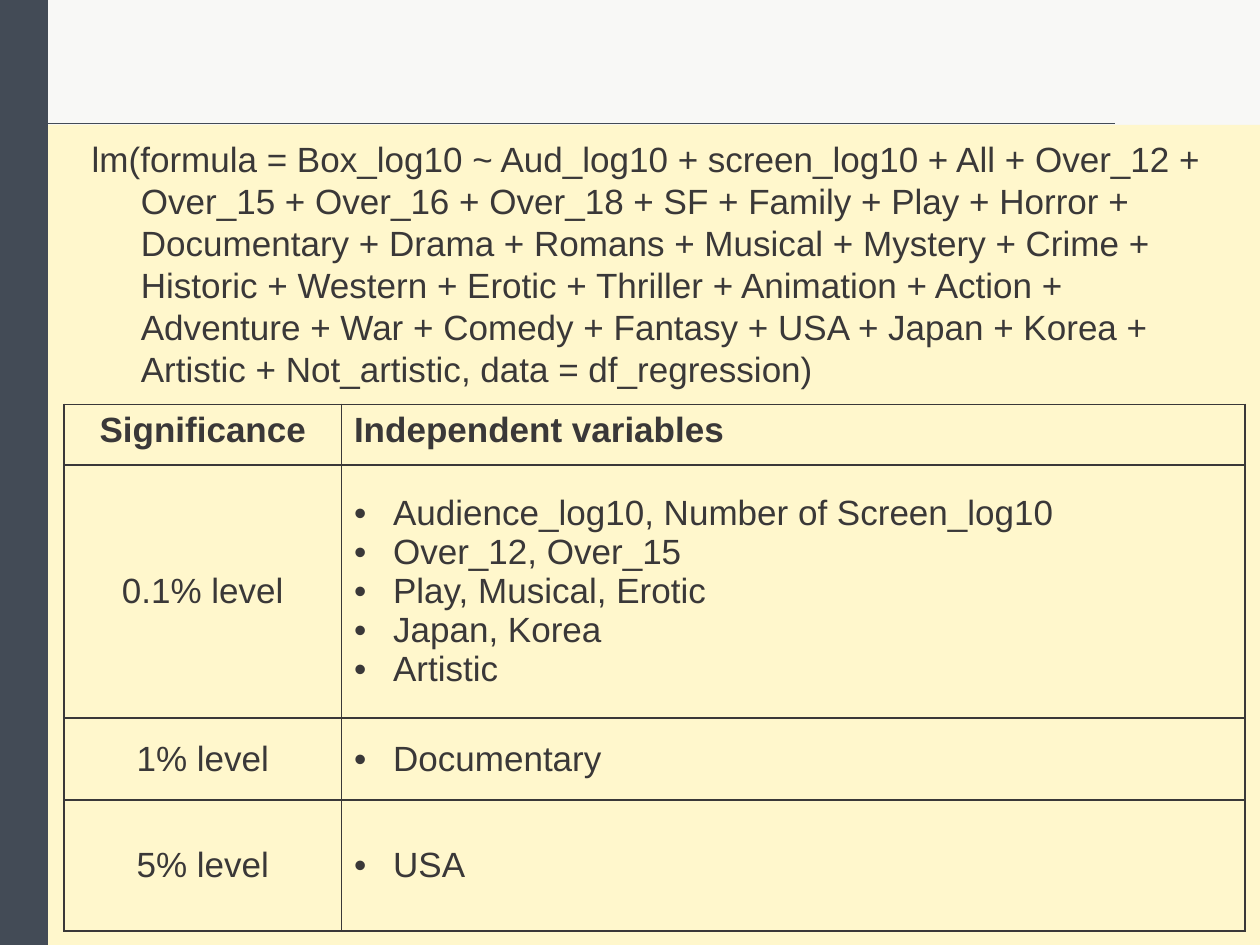
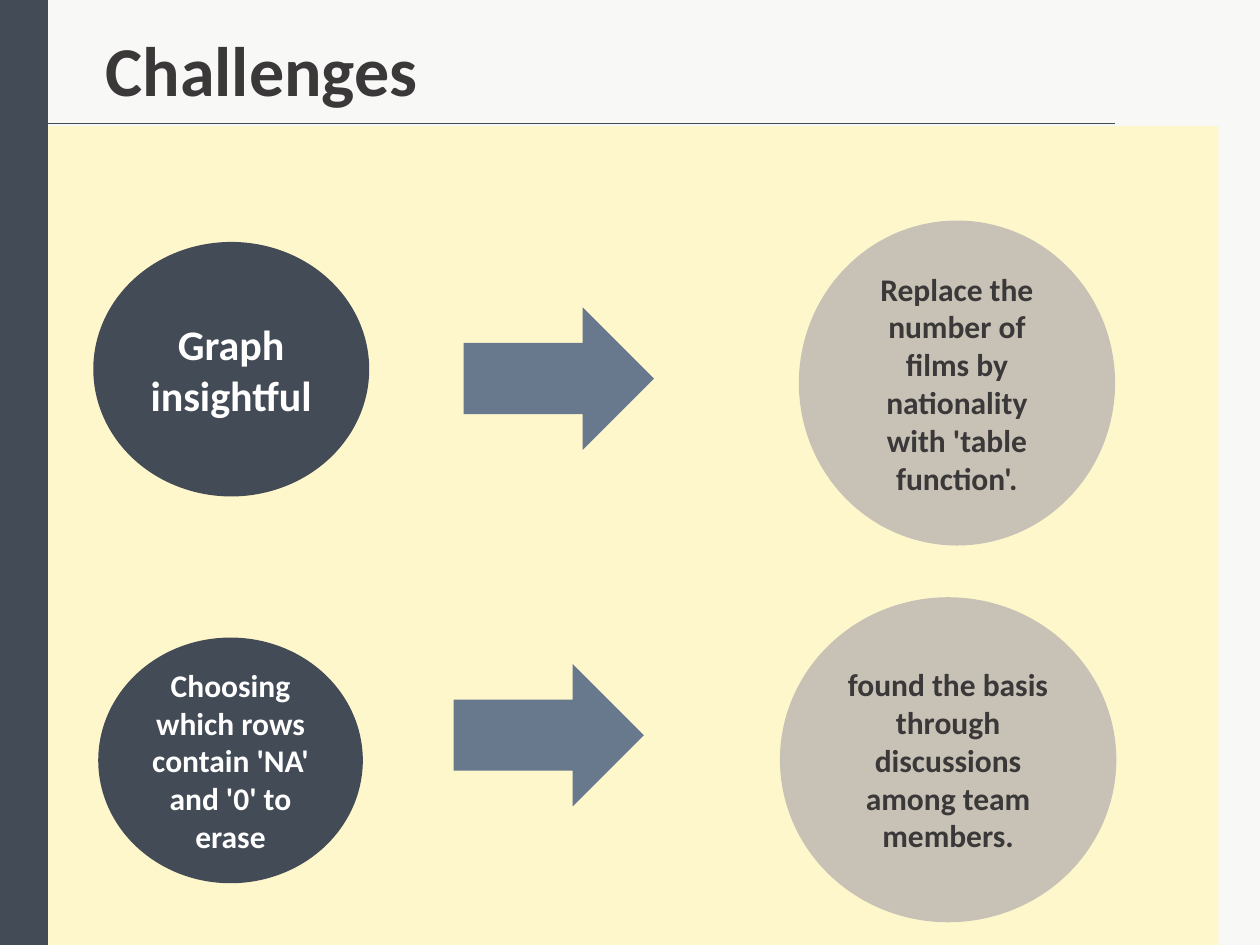
import pptx
import pptx.util
import pptx.oxml
import pptx.oxml.ns
from pptx.dml.color import RGBColor
from pptx.enum.shapes import MSO_CONNECTOR, MSO_SHAPE
from pptx.enum.text import MSO_ANCHOR, PP_ALIGN

Inches, Pt = pptx.util.Inches, pptx.util.Pt

PAPER = RGBColor(0xF8, 0xF8, 0xF6)
CREAM = RGBColor(0xFF, 0xF7, 0xCC)
SLATE = RGBColor(0x43, 0x4B, 0x56)
STEEL = RGBColor(0x68, 0x79, 0x8D)
STONE = RGBColor(0xC8, 0xC2, 0xB6)
INK = RGBColor(0x3A, 0x38, 0x38)
WHITE = RGBColor(0xFF, 0xFF, 0xFF)

WIDTH, HEIGHT = 10, 7.5
BAND = 0.38
RULE = (0.28, 8.85, 0.98)
PANEL_SIZE = (9.62, 6.51)
ARROW_SIZE = (1.51, 1.13)
INDENT = 0.31

FORMULA = [
    "lm(formula = Box_log10 ~ Aud_log10 + screen_log10 + All + Over_12 +",
    "Over_15 + Over_16 + Over_18 + SF + Family + Play + Horror +",
    "Documentary + Drama + Romans + Musical + Mystery + Crime +",
    "Historic + Western + Erotic + Thriller + Animation + Action +",
    "Adventure + War + Comedy + Fantasy + USA + Japan + Korea +",
    "Artistic + Not_artistic, data = df_regression)",
]
HEADINGS = ("Significance", "Independent variables")
LEVELS = [
    ("0.1% level", ["Audience_log10, Number of Screen_log10", "Over_12, Over_15",
                    "Play, Musical, Erotic", "Japan, Korea", "Artistic"]),
    ("1% level", ["Documentary"]),
    ("5% level", ["USA"]),
]
COLUMNS = (2.2, 7.17)
ROWS = (0.48, 2.01, 0.65, 1.04)

# Each row: (text, size, box) for the challenge and its answer, then the arrow's corner
CHALLENGES = [
    (("Graph insightful", 24, (0.74, 1.92, 2.19, 2.02)),
     ("Replace the number of films by nationality with 'table function'.", 18,
      (6.34, 1.75, 2.51, 2.58)),
     (3.68, 2.44)),
    (("Choosing which rows contain 'NA' and '0' to erase", 18, (0.78, 5.06, 2.1, 1.95)),
     ("found the basis through discussions among team members.", 18,
      (6.19, 4.74, 2.67, 2.58)),
     (3.6, 5.27)),
]


def inches(*values):
    return [Inches(v) for v in values]


def add_block(s, kind, box, color):
    sp = s.shapes.add_shape(kind, *inches(*box))
    sp.shadow.inherit = False
    sp.fill.solid()
    sp.fill.fore_color.rgb = color
    sp.line.fill.background()
    return sp


def add_run(p, text, size, font="Arial", color=INK, bold=False):
    r = p.add_run()
    r.text = text
    r.font.size = Pt(size)
    r.font.name = font
    r.font.bold = bold
    r.font.color.rgb = color


def write_lines(tf, lines, spacing):
    """Fill a frame with one paragraph per line and return the paragraphs."""
    for i, line in enumerate(lines):
        p = tf.paragraphs[0] if i == 0 else tf.add_paragraph()
        p.line_spacing = Pt(spacing)
        add_run(p, line, 20)
    return tf.paragraphs


def set_margin(p, left, first=0):
    pPr = p._p.get_or_add_pPr()
    pPr.set("marL", str(Inches(left)))
    pPr.set("indent", str(Inches(first)))
    return pPr


def add_bullet(p):
    pPr = set_margin(p, INDENT, -INDENT)
    for tag, attribute, value in (("buFont", "typeface", "Arial"), ("buChar", "char", "•")):
        pptx.oxml.ns.qn("a:" + tag)
        pPr.append(pptx.oxml.parse_xml(
            f'<a:{tag} {pptx.oxml.ns.nsdecls("a")} {attribute}="{value}"/>'))


def add_borders(cell):
    tcPr = cell._tc.get_or_add_tcPr()
    for i, side in enumerate("LRTB"):
        tcPr.insert(i, pptx.oxml.parse_xml(
            f'<a:ln{side} {pptx.oxml.ns.nsdecls("a")} w="{Pt(1)}"><a:solidFill>'
            f'<a:srgbClr val="{INK}"/></a:solidFill></a:ln{side}>'))


def add_textbox(s, box):
    tf = s.shapes.add_textbox(*inches(*box)).text_frame
    tf.word_wrap = True
    return tf


def new_slide(prs, panel_left, panel_top):
    """Add a slide with the cream panel, the side band and the rule under the title."""
    s = prs.slides.add_slide(prs.slide_layouts[6])
    s.background.fill.solid()
    s.background.fill.fore_color.rgb = PAPER
    add_block(s, MSO_SHAPE.RECTANGLE, (panel_left, panel_top, *PANEL_SIZE), CREAM)
    add_block(s, MSO_SHAPE.RECTANGLE, (0, 0, BAND, HEIGHT), SLATE)
    left, right, y = RULE
    rule = s.shapes.add_connector(MSO_CONNECTOR.STRAIGHT, *inches(left, y, right, y))
    rule.line.color.rgb = SLATE
    rule.line.width = Pt(0.5)
    rule._element.spPr.append(
        pptx.oxml.parse_xml(f'<a:effectLst {pptx.oxml.ns.nsdecls("a")}/>'))
    return s


def regression_slide(prs):
    s = new_slide(prs, WIDTH - PANEL_SIZE[0], HEIGHT - PANEL_SIZE[1])
    lines = write_lines(add_textbox(s, (0.63, 1.04, 9.37, 2.12)), FORMULA, 24)
    for p in lines[1:]:
        set_margin(p, 0.39)

    table = s.shapes.add_table(len(ROWS), len(COLUMNS),
                               *inches(0.51, 3.21, sum(COLUMNS), sum(ROWS))).table
    table.first_row = table.horz_banding = False
    for column, width in zip(table.columns, COLUMNS):
        column.width = Inches(width)
    for row, height in zip(table.rows, ROWS):
        row.height = Inches(height)
    for cell in table.iter_cells():
        cell.fill.background()
        add_borders(cell)

    for c, heading in enumerate(HEADINGS):
        add_run(table.cell(0, c).text_frame.paragraphs[0], heading, 20, bold=True)
    for i, (level, variables) in enumerate(LEVELS, 1):
        level_cell, variable_cell = table.cell(i, 0), table.cell(i, 1)
        level_cell.vertical_anchor = variable_cell.vertical_anchor = MSO_ANCHOR.MIDDLE
        add_run(level_cell.text_frame.paragraphs[0], level, 20)
        for p in write_lines(variable_cell.text_frame, variables, 22.3):
            add_bullet(p)
    for i in range(len(ROWS)):
        table.cell(i, 0).text_frame.paragraphs[0].alignment = PP_ALIGN.CENTER


def challenges_slide(prs):
    s = new_slide(prs, 0.05, 1)
    title = add_textbox(s, (0.74, 0.16, 3.79, 0.77))
    add_run(title.paragraphs[0], "Challenges", 40, "Calibri", bold=True)
    for challenge, answer, arrow_corner in CHALLENGES:
        for (text, size, box), fill, color in ((challenge, SLATE, WHITE),
                                               (answer, STONE, INK)):
            tf = add_block(s, MSO_SHAPE.OVAL, box, fill).text_frame
            tf.word_wrap = True
            tf.vertical_anchor = MSO_ANCHOR.MIDDLE
            p = tf.paragraphs[0]
            p.alignment = PP_ALIGN.CENTER
            add_run(p, text, size, "Calibri", color, True)
        add_block(s, MSO_SHAPE.RIGHT_ARROW, (*arrow_corner, *ARROW_SIZE), STEEL)


def main():
    prs = pptx.Presentation()
    prs.slide_width, prs.slide_height = inches(WIDTH, HEIGHT)
    regression_slide(prs)
    challenges_slide(prs)
    prs.save("out.pptx")


if __name__ == "__main__":
    main()
